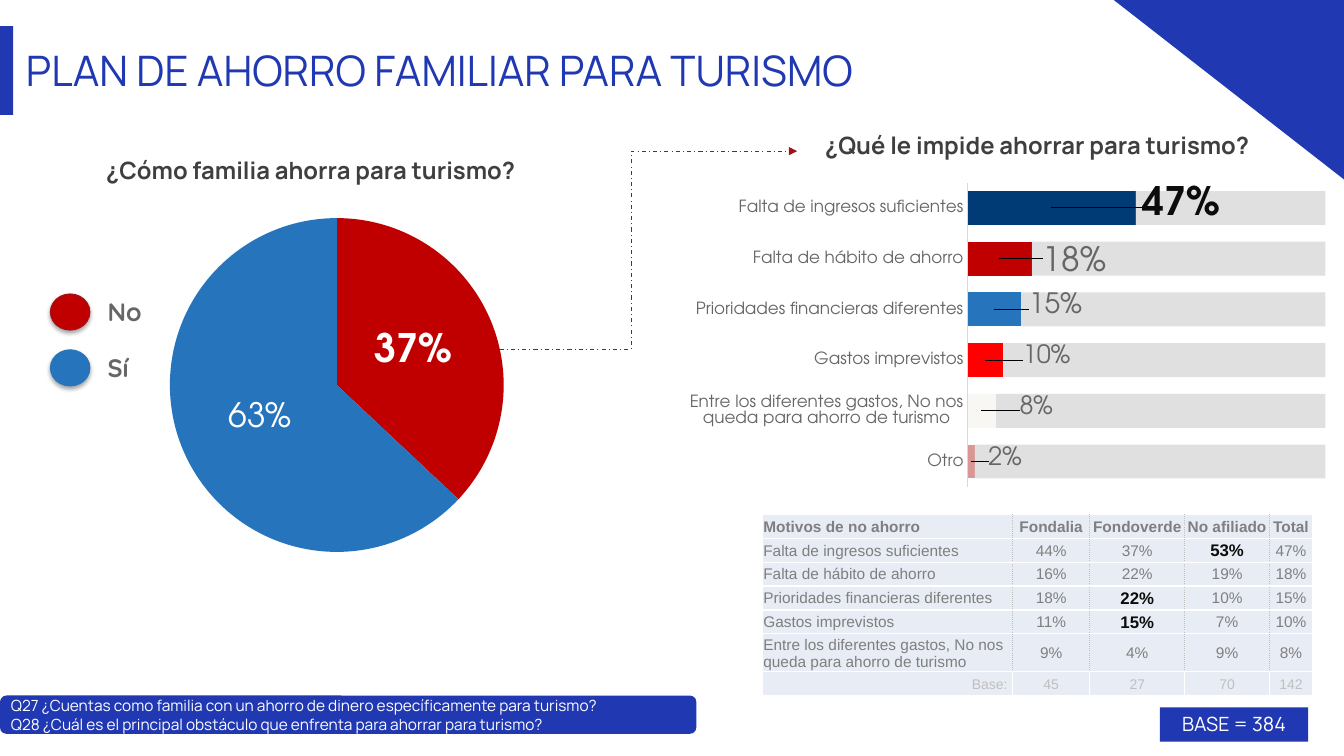
import dataclasses

import lxml.etree
import pptx
import pptx.chart.data
import pptx.dml.color
import pptx.enum.chart
import pptx.enum.dml
import pptx.enum.shapes
import pptx.enum.text
import pptx.oxml
import pptx.oxml.ns
import pptx.util

COLS, ROWS = 160, 90
CELL = pptx.util.Inches(7.5) // ROWS
NS = ('xmlns:a="http://schemas.openxmlformats.org/drawingml/2006/main" '
      'xmlns:c="http://schemas.openxmlformats.org/drawingml/2006/chart"')
SHAPE = pptx.enum.shapes.MSO_SHAPE
ALIGN = pptx.enum.text.PP_ALIGN
ANCHOR = pptx.enum.text.MSO_ANCHOR
qn = pptx.oxml.ns.qn


@dataclasses.dataclass(frozen=True)
class Theme:
    blue: str = "2038B2"
    white: str = "FFFFFF"
    heading: str = "3F3F3F"
    gray: str = "666666"
    ink: str = "0C0C0C"
    cell: str = "E8ECF4"
    cell_text: str = "7F7F7F"
    faint: str = "BFBFBF"
    axis: str = "D9D9D9"
    rest: str = "CCCCCC"
    wine: str = "A31115"
    no: str = "C00000"
    yes: str = "2674BB"
    reasons: tuple = ("003B75", "C00000", "2674BB", "FF0000", "F8F7F3", "D99694")
    body: str = "Manrope"
    legend: str = "Quicksand"
    chart: str = "TeX Gyre Adventor"
    table: str = "Arial"
    title_pt: int = 30
    question_pt: int = 17
    legend_pt: int = 18
    axis_pt: int = 12
    badge_pt: int = 14
    note_pt: int = 11
    cell_pt: int = 11
    strong_pt: int = 12
    base_pt: int = 10


T = Theme()


@dataclasses.dataclass(frozen=True)
class Box:
    x: float
    y: float
    w: float
    h: float

    def inner(self, x, y, w, h):
        return Box(self.x + x, self.y + y, w, h)

    def emu(self):
        return [round(v * CELL) for v in (self.x, self.y, self.w, self.h)]


def rgb(color):
    return pptx.dml.color.RGBColor.from_string(color)


def xml(text):
    return pptx.oxml.parse_xml(text.replace(">", f" {NS}>", 1) if "/>" not in text.split(">")[0] + ">"
                               else text.replace("/>", f" {NS}/>", 1))


def style(font, name, size, color, bold=False):
    font.name, font.size, font.bold = name, pptx.util.Pt(size), bold
    font.color.rgb = rgb(color)


def write(tf, lines, name, size, color, bold=False, align=ALIGN.LEFT):
    for i, line in enumerate(lines):
        p = tf.add_paragraph() if i else tf.paragraphs[0]
        p.alignment = align
        r = p.add_run()
        r.text = line
        style(r.font, name, size, color, bold)


def add_text(s, box, lines, *look, anchor=ANCHOR.TOP, **options):
    tf = s.shapes.add_textbox(*box.emu()).text_frame
    tf.word_wrap = True
    tf.vertical_anchor = anchor
    write(tf, lines, *look, **options)
    return tf


def paint(sp, color, line=None):
    sp.shadow.inherit = False
    sp.fill.solid()
    sp.fill.fore_color.rgb = rgb(color)
    if line:
        sp.line.color.rgb = rgb(line)
        sp.line.width = pptx.util.Pt(0.75)
    else:
        sp.line.fill.background()
    return sp


def add_block(s, kind, box, color, line=None):
    return paint(s.shapes.add_shape(kind, *box.emu()), color, line)


def add_question(s, box, text):
    add_text(s, box, [text], T.body, T.question_pt, T.heading, True, align=ALIGN.CENTER)


def manual_layout(target="", modes="", **shares):
    values = "".join(f'<c:{k} val="{v}"/>' for k, v in shares.items())
    return xml(f"<c:layout><c:manualLayout>{target}{modes}{values}</c:manualLayout></c:layout>")


def add_chart(s, box, kind, names, columns, plot_box):
    data = pptx.chart.data.CategoryChartData(number_format="0%")
    data.categories = names
    for i, values in enumerate(columns, 1):
        data.add_series(f"Series {i}", values)
    chart = s.shapes.add_chart(kind, *box.emu(), data).chart
    chart.has_legend = chart.has_title = False
    style(chart.font, T.chart, T.axis_pt, T.gray)
    area = chart._chartSpace.chart.plotArea
    for old in area.findall(qn("c:layout")):
        area.remove(old)
    modes = '<c:xMode val="edge"/><c:yMode val="edge"/>'
    area.insert(0, manual_layout('<c:layoutTarget val="inner"/>', modes,
                                 **dict(zip("xywh", plot_box))))
    chart.plots[0].vary_by_categories = False
    return chart


def color_points(series, points):
    labels = series.data_labels
    labels.show_value = True
    labels.number_format, labels.number_format_is_linked = "0%", False
    labels.position = pptx.enum.chart.XL_LABEL_POSITION.CENTER
    for i, (fill, size, color, bold, shift) in enumerate(points):
        point = series.points[i]
        point.format.fill.solid()
        point.format.fill.fore_color.rgb = rgb(fill)
        style(point.data_label.font, T.chart, size, color, bold)
        point.data_label.position = pptx.enum.chart.XL_LABEL_POSITION.CENTER
        if shift:
            label = series._element.findall(".//" + qn("c:dLbl"))[i]
            label.insert(1, manual_layout(x=shift[0], y=shift[1]))


def header(s, box):
    corner = box.inner(132.6, 0, box.w - 132.6, box.h)
    x, y, w, h = corner.emu()
    outline = s.shapes.build_freeform(x + w, y, scale=1.0)
    outline.add_line_segments([(x, y), (x + w, y + h)], close=True)
    paint(outline.convert_to_shape(), T.blue)
    add_block(s, SHAPE.RECTANGLE, box.inner(0, 3.12, 1.56, 10.56), T.blue)
    tf = add_text(s, box.inner(3.1, 5.3, 127.7, 6.2), ["PLAN DE AHORRO FAMILIAR PARA TURISMO"],
                  T.body, T.title_pt, T.blue)
    tf.margin_left = tf.margin_right = tf.margin_top = tf.margin_bottom = 0


def saving_families(s, box):
    add_question(s, box.inner(0.5, 0, 73, 4.7), "¿Cómo familia ahorra para turismo?")
    chart = add_chart(s, box.inner(1.3, 6.24, 77.6, 43.2), pptx.enum.chart.XL_CHART_TYPE.PIE,
                      ["1", "2"], [(0.37, 0.63)], (0.24, 0.04, 0.52, 0.92))
    color_points(chart.plots[0].series[0], [(T.no, 28, T.white, True, None),
                                            (T.yes, 24, T.white, False, None)])
    shadow = ('<a:outerShdw blurRad="39370" dist="22860" dir="5400000" rotWithShape="0">'
              '<a:srgbClr val="000000"><a:alpha val="35000"/></a:srgbClr></a:outerShdw>')
    for i, (name, fill, line) in enumerate([("No", T.no, T.wine), ("Sí", T.yes, T.yes)]):
        y = 17 + 6.65 * i
        dot = add_block(s, SHAPE.OVAL, box.inner(6, y, 4.7, 4.3), fill, line)
        dot._element.spPr.find(qn("a:effectLst")).append(xml(shadow))
        add_text(s, box.inner(11.64, y - 0.3, 8.4, 4.8), [name], T.legend, T.legend_pt, T.gray,
                 True, anchor=ANCHOR.MIDDLE)


def obstacles(s, box):
    add_question(s, box.inner(10.2, 0, 73, 4.7), "¿Qué le impide ahorrar para turismo?")
    shares = (0.47, 0.18, 0.15, 0.1, 0.08, 0.02)
    names = [row[0] for row in REASONS]
    chart = add_chart(s, box.inner(0, 5.16, 81, 39.4),
                      pptx.enum.chart.XL_CHART_TYPE.BAR_STACKED_100, names + ["Otro"],
                      [shares, [round(1 - v, 2) for v in shares]], (0.474, 0.04, 0.526, 0.92))
    plot = chart.plots[0]
    plot.gap_width, plot.overlap = 50, 100
    axis = chart.category_axis
    axis.reverse_order = True
    axis.major_tick_mark = pptx.enum.chart.XL_TICK_MARK.NONE
    axis.format.line.color.rgb = rgb(T.axis)
    axis.format.line.width = pptx.util.Pt(0.75)
    style(axis.tick_labels.font, T.chart, T.axis_pt, T.gray)
    chart.value_axis.visible = False
    chart.value_axis.has_major_gridlines = False
    chart.value_axis.minimum_scale, chart.value_axis.maximum_scale = 0, 1
    sizes = (28, 24, 20, 18, 18, 18)
    shifts = ((0.19, -0.01), (0.11, 0.01), (0.09, -0.01), (0.09, -0.01), (0.08, -0.01), (0.05, -0.01))
    color_points(plot.series[0], [(fill, size, T.gray if i else T.ink, i == 0, shift) for
                                  i, (fill, size, shift) in enumerate(zip(T.reasons, sizes, shifts))])
    rest = plot.series[1].format.fill
    rest.solid()
    rest.fore_color.rgb = rgb(T.rest)
    color = plot.series[1]._element.find(".//" + qn("a:srgbClr"))
    color.append(xml('<a:alpha val="60000"/>'))


def link(s, box):
    x, y, w, h = box.emu()
    line = s.shapes.add_connector(pptx.enum.shapes.MSO_CONNECTOR.ELBOW, x, y + h, x + w, y)
    line.line.color.rgb = rgb(T.wine)
    line.line.width = pptx.util.Pt(0.75)
    line.line.dash_style = pptx.enum.dml.MSO_LINE.DASH_DOT
    line.line._get_or_add_ln().append(xml('<a:tailEnd type="triangle"/>'))
    line._element.spPr.append(xml("<a:effectLst/>"))


REASONS = [
    ("Falta de ingresos suficientes", "44%", "37%", "53%", "47%"),
    ("Falta de hábito de ahorro", "16%", "22%", "19%", "18%"),
    ("Prioridades financieras diferentes", "18%", "22%", "10%", "15%"),
    ("Gastos imprevistos", "11%", "15%", "7%", "10%"),
    ("Entre los diferentes gastos, No nos queda para ahorro de turismo", "9%", "4%", "9%", "8%"),
]


def reasons_table(s, box):
    rows = [("Motivos de no ahorro", "Fondalia", "Fondoverde", "No afiliado", "Total"), *REASONS,
            ("Base:", "45", "27", "70", "142")]
    widths = (29.8, 9.2, 11.3, 10.1, 5.1)
    strong = {(1, 3), (3, 2), (4, 2)}
    last, end = len(rows) - 1, len(widths) - 1
    table = s.shapes.add_table(len(rows), len(widths), *box.emu()).table
    table.first_row = table.horz_banding = False
    for column, width in zip(table.columns, widths):
        column.width = round(width * CELL)
    for i, row in enumerate(rows):
        table.rows[i].height = round((4.4 if i == 5 else 2.84) * CELL)
        for j, text in enumerate(row):
            cell = table.cell(i, j)
            cell.fill.solid()
            cell.fill.fore_color.rgb = rgb(T.cell)
            cell.vertical_anchor = ANCHOR.MIDDLE
            cell.margin_left = cell.margin_top = pptx.util.Inches(0.01)
            cell.margin_right = pptx.util.Inches(0.05 if (i, j) == (last, 0) else 0.01)
            cell.margin_bottom = 0
            size, color = (T.base_pt, T.faint) if i == last else (T.cell_pt, T.cell_text)
            if (i, j) in strong:
                size, color = T.strong_pt, T.ink
            align = ALIGN.CENTER if j else ALIGN.RIGHT if i == last else ALIGN.LEFT
            write(cell.text_frame, [text], T.table, size, color, i == 0 or (i, j) in strong, align)
            dotted = {"L": j > 0 and i < last, "R": j < end and i < last}
            for k, side in enumerate("LRTB"):
                if i == last and (side == "L" and j or side == "R" and j < end):
                    continue
                tint, dash = (T.faint, "sysDot") if dotted.get(side) else (T.white, "solid")
                edge = xml(f'<a:ln{side} w="12700"><a:solidFill><a:srgbClr val="{tint}"/>'
                           f'</a:solidFill><a:prstDash val="{dash}"/></a:ln{side}>')
                tc_pr = cell._tc.get_or_add_tcPr()
                tc_pr.insert(len(tc_pr.findall("*")) - 1, edge)


def footer(s, box):
    add_block(s, SHAPE.ROUNDED_RECTANGLE, box.inner(0, 0.5, 82.9, 4.56), T.blue)
    add_text(s, box.inner(0.12, 0, 82.9, 5.6),
             ["Q27 ¿Cuentas como familia con un ahorro de dinero específicamente para turismo?",
              "Q28 ¿Cuál es el principal obstáculo que enfrenta para ahorrar para turismo?"],
             T.body, T.note_pt, T.white)
    badge = add_block(s, SHAPE.RECTANGLE, box.inner(138.1, 1.92, 17.64, 4.08), T.blue)
    badge.text_frame.vertical_anchor = ANCHOR.TOP
    write(badge.text_frame, ["BASE = 384"], T.body, T.badge_pt, T.white, align=ALIGN.CENTER)


def main():
    prs = pptx.Presentation()
    prs.slide_width, prs.slide_height = COLS * CELL, ROWS * CELL
    s = prs.slides.add_slide(prs.slide_layouts[6])
    saving_families(s, Box(0, 18, 79, 50))
    obstacles(s, Box(76.8, 15, 83.2, 45))
    link(s, Box(55.4, 18, 39.5, 23.6))
    reasons_table(s, Box(90.75, 61.25, 65.5, 21.5))
    header(s, Box(0, 0, COLS, 21.36))
    footer(s, Box(0, 82.3, COLS, 7.7))
    prs.save("out.pptx")


if __name__ == "__main__":
    main()
